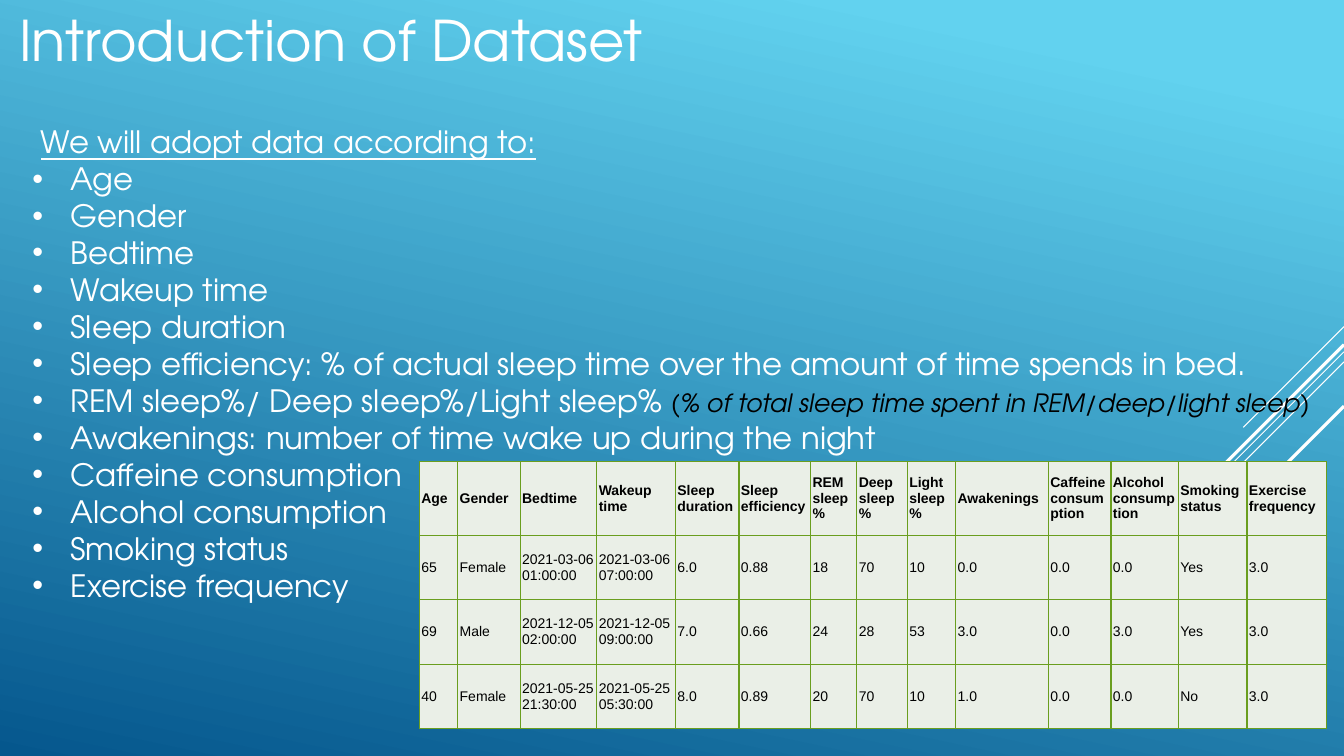
"""Build the slide that introduces the sleep dataset."""
import pptx
import pptx.dml.color
import pptx.enum.shapes
import pptx.enum.text
import pptx.oxml
import pptx.oxml.ns
import pptx.util

Inches = pptx.util.Inches
Pt = pptx.util.Pt
ANCHOR = pptx.enum.text.MSO_ANCHOR
NAMESPACE = pptx.oxml.ns.nsdecls("a")
WHITE, BLACK = "FFFFFF", "000000"
BORDER, CELL_FILL = "6A9E1F", "EAEFE7"
DISPLAY_FONT = "TeX Gyre Adventor"


def color(hex_string):
    return pptx.dml.color.RGBColor.from_string(hex_string)


def add_text(paragraph, text, size=22, font=DISPLAY_FONT, fill=WHITE,
             bold=False, italic=False, underline=False):
    run = paragraph.add_run()
    run.text = text
    run.font.size = Pt(size)
    run.font.name = font
    run.font.color.rgb = color(fill)
    run.font.bold = bold
    run.font.italic = italic
    run.font.underline = underline


presentation = pptx.Presentation()
presentation.slide_width = Inches(13.33)
presentation.slide_height = Inches(7.5)
slide = presentation.slides.add_slide(presentation.slide_layouts[1])

background = slide.background.fill
background.gradient()
background.gradient_angle = 360 - 102
for stop, (position, shade) in zip(background.gradient_stops, [(0.1, "62D2EF"), (1, "05578D")]):
    stop.position = position
    stop.color.rgb = color(shade)

title, body = slide.placeholders
placements = [(title, 0.09, 0, 11.25, 0.77), (body, 0.22, 1.17, 12.94, 4.92)]
for placeholder, left, top, width, height in placements:
    placeholder.left, placeholder.top = Inches(left), Inches(top)
    placeholder.width, placeholder.height = Inches(width), Inches(height)
    placeholder.text_frame.vertical_anchor = ANCHOR.TOP
    placeholder.text_frame.auto_size = pptx.enum.text.MSO_AUTO_SIZE.NONE

# Each diagonal runs down and left at 45 degrees from the right edge.
diagonals = [(3.24, 1, 0.75), (3.49, 3.26, 0.75), (3.59, 2.07, 0.75),
             (3.42, 1.91, 2.25), (4.03, 1.39, 2.25)]
for top, reach, weight in diagonals:
    diagonal = slide.shapes.add_connector(
        pptx.enum.shapes.MSO_CONNECTOR.STRAIGHT,
        Inches(13.33), Inches(top), Inches(13.33 - reach), Inches(top + reach))
    diagonal.line.color.rgb = color(WHITE)
    diagonal.line.width = Pt(weight)
    diagonal.element.spPr.append(pptx.oxml.parse_xml(f"<a:effectLst {NAMESPACE}/>"))
    title.element.addprevious(diagonal.element)

heading = title.text_frame.paragraphs[0]
heading.alignment = pptx.enum.text.PP_ALIGN.LEFT
add_text(heading, "Introduction of Dataset", size=40)

intro = body.text_frame.paragraphs[0]
intro.space_before = Pt(0)
intro_properties = intro._p.get_or_add_pPr()
intro_properties.set("marL", "0")
intro_properties.set("indent", "0")
intro_properties.append(pptx.oxml.parse_xml(f"<a:buNone {NAMESPACE}/>"))
add_text(intro, " ")
add_text(intro, "We will adopt data according to:", underline=True)

REM_ITEM = "REM sleep%/ Deep sleep%/Light sleep% "
items = [
    "Age", "Gender", "Bedtime", "Wakeup time", "Sleep duration",
    "Sleep efficiency: % of actual sleep time over the amount of time spends in bed.",
    REM_ITEM,
    "Awakenings: number of time wake up during the night",
    "Caffeine consumption", "Alcohol consumption", "Smoking status", "Exercise frequency",
]
for item in items:
    paragraph = body.text_frame.add_paragraph()
    paragraph.space_before = Pt(0)
    properties = paragraph._p.get_or_add_pPr()
    properties.set("marL", str(Inches(0.38)))
    properties.set("indent", str(-Inches(0.38)))
    for bullet in (f'<a:buClr {NAMESPACE}><a:srgbClr val="{WHITE}"/></a:buClr>',
                   f'<a:buFont {NAMESPACE} typeface="Arial"/>',
                   f'<a:buChar {NAMESPACE} char="•"/>'):
        properties.append(pptx.oxml.parse_xml(bullet))
    add_text(paragraph, item)
    if item == REM_ITEM:
        add_text(paragraph, "(% of total sleep time spent in REM/deep/light sleep)",
                 size=18, fill=BLACK, italic=True)

records = [
    ["Age", "Gender", "Bedtime", "Wakeup time", "Sleep duration", "Sleep efficiency",
     "REM sleep %", "Deep sleep %", "Light sleep %", "Awakenings", "Caffeine consumption",
     "Alcohol consumption", "Smoking status", "Exercise frequency"],
    ["65", "Female", "2021-03-06 01:00:00", "2021-03-06 07:00:00", "6.0", "0.88",
     "18", "70", "10", "0.0", "0.0", "0.0", "Yes", "3.0"],
    ["69", "Male", "2021-12-05 02:00:00", "2021-12-05 09:00:00", "7.0", "0.66",
     "24", "28", "53", "3.0", "0.0", "3.0", "Yes", "3.0"],
    ["40", "Female", "2021-05-25 21:30:00", "2021-05-25 05:30:00", "8.0", "0.89",
     "20", "70", "10", "1.0", "0.0", "0.0", "No", "3.0"],
]
column_widths = [0.38, 0.62, 0.76, 0.78, 0.63, 0.71, 0.46, 0.5, 0.48, 0.92, 0.62, 0.67, 0.68, 0.79]
row_heights = [0.73, 0.64, 0.64, 0.64]
table = slide.shapes.add_table(len(records), len(column_widths), Inches(4.16), Inches(4.58),
                               Inches(8.99), Inches(2.66)).table
table.horz_banding = False
table.first_row = False
for column, width in zip(table.columns, column_widths):
    column.width = Inches(width)
for row_index, (row, height, record) in enumerate(zip(table.rows, row_heights, records)):
    row.height = Inches(height)
    for cell, value in zip(row.cells, record):
        cell.margin_left = cell.margin_right = Inches(0.02)
        cell.margin_top = cell.margin_bottom = Inches(0.01)
        cell.vertical_anchor = ANCHOR.MIDDLE
        cell.fill.solid()
        cell.fill.fore_color.rgb = color(CELL_FILL)
        add_text(cell.text_frame.paragraphs[0], value, size=10, font="Arial",
                 fill=BLACK, bold=row_index == 0)
        cell_properties = cell._tc.get_or_add_tcPr()
        for position, side in enumerate("LRTB"):
            cell_properties.insert(position, pptx.oxml.parse_xml(
                f'<a:ln{side} {NAMESPACE} w="{Pt(1)}"><a:solidFill>'
                f'<a:srgbClr val="{BORDER}"/></a:solidFill></a:ln{side}>'))

presentation.save("out.pptx")
